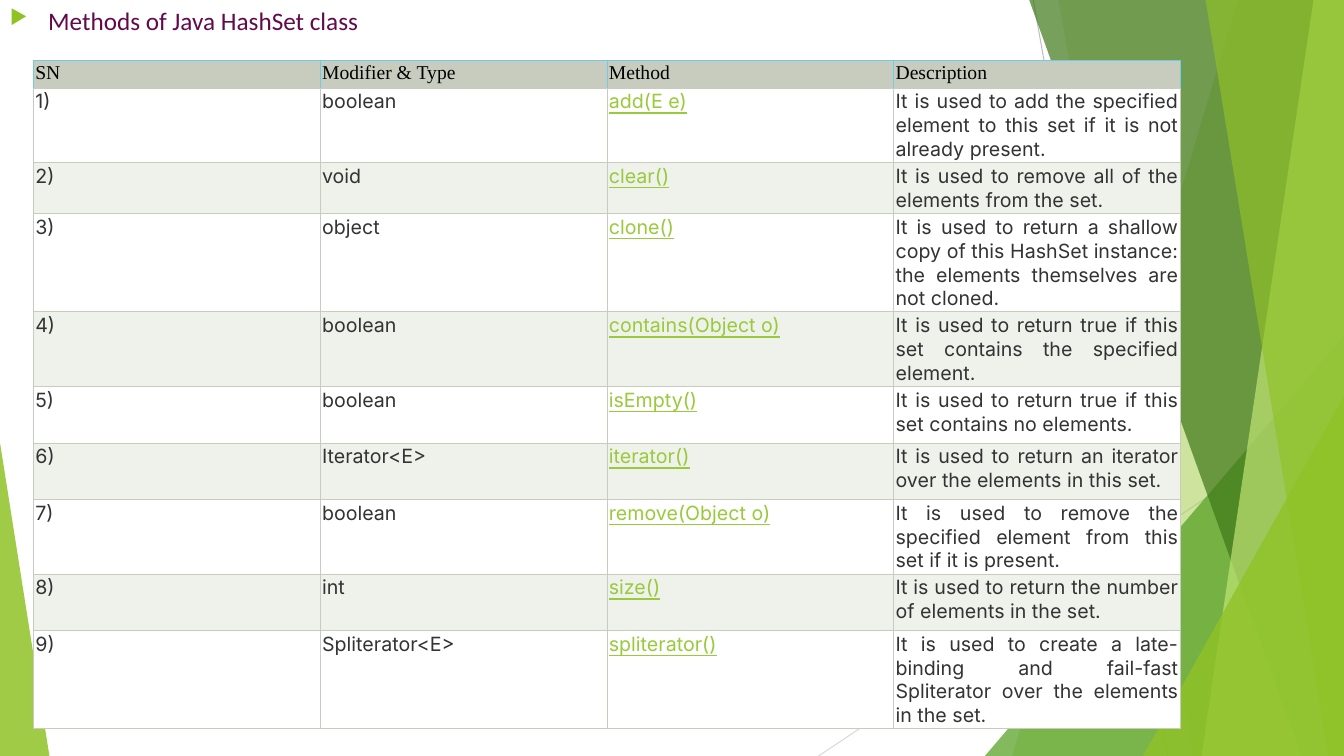
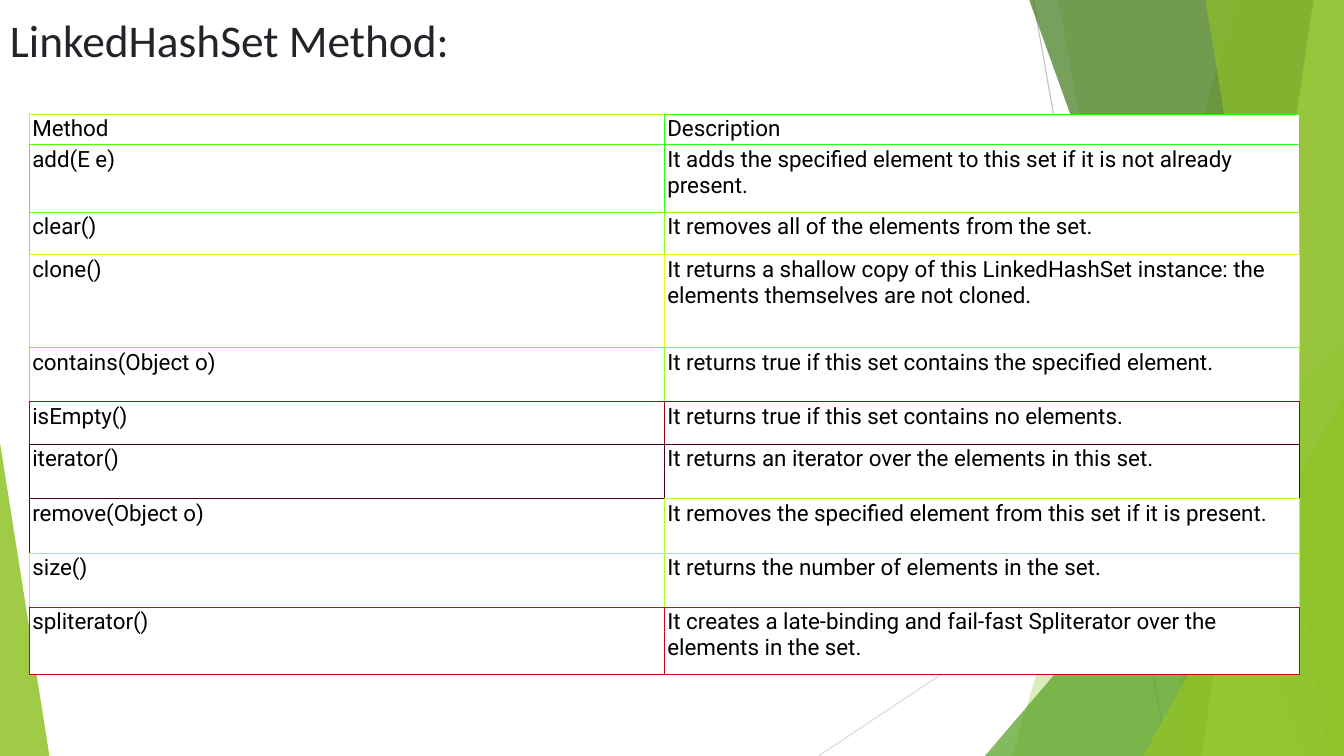
from dataclasses import dataclass
from typing import NamedTuple

from lxml import etree
from pptx import Presentation
from pptx.dml.color import RGBColor
from pptx.enum.shapes import MSO_CONNECTOR, MSO_SHAPE
from pptx.enum.text import PP_ALIGN
from pptx.oxml.ns import qn
from pptx.util import Emu, Inches, Pt

STRAIGHT = MSO_CONNECTOR.STRAIGHT
TRIANGLE = MSO_SHAPE.ISOSCELES_TRIANGLE
LEFT, JUSTIFY = PP_ALIGN.LEFT, PP_ALIGN.JUSTIFY

SLIDE_WIDTH, SLIDE_HEIGHT = Inches(13.33), Inches(7.5)
BLANK_LAYOUT = 6

GREEN, MID_GREEN, DARK_GREEN, PALE_GREEN = "90C226", "54A021", "3F7819", "C0E474"
WHITE, BLACK, BODY_GREY = "FFFFFF", "000000", "333333"
BAND, RULE, HEADER_RULE, LINK = "EFF1EB", "C7CCBE", "70CBE9", "99CA3C"


@dataclass(frozen=True)
class TextStyle:
    """Look of one run of text."""
    font: str
    size: float
    color: str
    underline: bool = False
    align: PP_ALIGN = LEFT


@dataclass(frozen=True)
class Ray:
    """Thin line; all places are percent of the slide."""
    start: tuple[float, float]
    end: tuple[float, float]
    color: str


@dataclass(frozen=True)
class Shard:
    """Full-height panel reaching the right edge, slanted on its left side."""
    top_left: float
    bottom_left: float
    color: str
    opacity: int


@dataclass(frozen=True)
class Wedge:
    """Triangle standing on the bottom edge of the slide."""
    left: float
    right: float
    top: float
    apex: float
    color: str
    opacity: int


class Borders(NamedTuple):
    """Cell border colours in the order the file format wants them."""
    left: str
    right: str
    top: str
    bottom: str


@dataclass(frozen=True)
class CellLook:
    """Text style, fill and borders of a table cell."""
    style: TextStyle
    fill: str
    borders: Borders


@dataclass(frozen=True)
class TableFrame:
    """Place, row heights (percent), cell insets (inches) and rule width (points)."""
    left: float
    top: float
    width: float
    rows: list[float]
    inset: float
    rule: float


class Method(NamedTuple):
    """One set method as told on both slides."""
    signature: str
    result: str
    usage: str
    linked_usage: str


BACKDROP = [
    Ray((76.88, 0), (86.88, 100), "BFBFBF"),
    Ray((100, 53.73), (60.9, 100), "D9D9D9"),
    Shard(92.1, 75.3, GREEN, 30),
    Shard(78.75, 88.75, GREEN, 20),
    Wedge(73.28, 100, 44.4, 1, MID_GREEN, 72),
    Shard(76.58, 96.83, DARK_GREEN, 70),
    Shard(97.73, 89.4, PALE_GREEN, 70),
    Shard(89.7, 98.85, GREEN, 65),
    Wedge(85.05, 100, 52.4, 1, GREEN, 80),
    Wedge(0, 3.68, 58.53, 0, GREEN, 85),
]

METHODS = [
    Method("add(E e)", "boolean",
           "It is used to add the specified element to this set if it is not already present.",
           "It adds the specified element to this set if it is not already present."),
    Method("clear()", "void",
           "It is used to remove all of the elements from the set.",
           "It removes all of the elements from the set."),
    Method("clone()", "object",
           "It is used to return a shallow copy of this HashSet instance: "
           "the elements themselves are not cloned.",
           "It returns a shallow copy of this LinkedHashSet instance: "
           "the elements themselves are not cloned."),
    Method("contains(Object o)", "boolean",
           "It is used to return true if this set contains the specified element.",
           "It returns true if this set contains the specified element."),
    Method("isEmpty()", "boolean",
           "It is used to return true if this set contains no elements.",
           "It returns true if this set contains no elements."),
    Method("iterator()", "Iterator<E>",
           "It is used to return an iterator over the elements in this set.",
           "It returns an iterator over the elements in this set."),
    Method("remove(Object o)", "boolean",
           "It is used to remove the specified element from this set if it is present.",
           "It removes the specified element from this set if it is present."),
    Method("size()", "int",
           "It is used to return the number of elements in the set.",
           "It returns the number of elements in the set."),
    Method("spliterator()", "Spliterator<E>",
           "It is used to create a late-binding and fail-fast Spliterator "
           "over the elements in the set.",
           "It creates a late-binding and fail-fast Spliterator "
           "over the elements in the set."),
]

HASH_FRAME = TableFrame(
    2.48, 8, 85.35, [3.6, 8.8, 6, 11.47, 8.8, 7.47, 7.47, 8.8, 7.47, 10.13], 0.02, 0.6)
LINKED_FRAME = TableFrame(
    2.18, 15.07, 94.5, [2.27, 8.93, 5.6, 12.27, 7.2, 5.6, 7.2, 7.2, 7.2, 8.93], 0.03, 0.5)
LINKED_RULES = [
    ("B0FC19", "30FD19"), ("50F719", "30FA19"), ("70FA19", "90FA19"),
    ("D0F519", "F0F619"), ("70FB19", "90FB19"), ("B0001A", "90041A"),
    ("30031A", "50021A"), ("50051A", "B0FE19"), ("B0FE19", "B0FF19"),
    ("D0011A", "D0041A"),
]

HASH_TITLE = TextStyle("Calibri", 18, "610B4B", align=JUSTIFY)
LINKED_TITLE = TextStyle("Calibri", 32.4, "212529")
HASH_HEADER = TextStyle("Times New Roman", 14, BLACK)
HASH_BODY = TextStyle("Inter", 14, BODY_GREY, align=JUSTIFY)
HASH_LINK = TextStyle("Inter", 14, LINK, underline=True, align=JUSTIFY)
LINKED_BODY = TextStyle("Roboto", 16, BLACK)


def across(percent: float) -> Emu:
    """Turn a share of the slide's width into a length."""
    return Emu(round(SLIDE_WIDTH * percent / 100))


def down(percent: float) -> Emu:
    """Turn a share of the slide's height into a length."""
    return Emu(round(SLIDE_HEIGHT * percent / 100))


def rgb(color: str) -> RGBColor:
    """Read a hex colour."""
    return RGBColor.from_string(color)


def paint(shape, color: str, opacity: int) -> None:
    """Give a shape a see-through fill with no line or shadow."""
    shape.shadow.inherit = False
    shape.line.fill.background()
    shape.fill.solid()
    shape.fill.fore_color.rgb = rgb(color)
    color_element = shape.fill._xPr.find(".//" + qn("a:srgbClr"))
    etree.SubElement(color_element, qn("a:alpha"), val=str(opacity * 1000))


def draw_ray(slide, ray: Ray) -> None:
    """Draw a thin line."""
    (x1, y1), (x2, y2) = ray.start, ray.end
    connector = slide.shapes.add_connector(STRAIGHT, across(x1), down(y1), across(x2), down(y2))
    connector.line.color.rgb = rgb(ray.color)
    connector.line.width = Pt(0.75)
    etree.SubElement(connector._element.spPr, qn("a:effectLst"))


def draw_shard(slide, shard: Shard) -> None:
    """Draw a slanted panel."""
    builder = slide.shapes.build_freeform(across(shard.top_left), 0)
    builder.add_line_segments([
        (SLIDE_WIDTH, 0), (SLIDE_WIDTH, SLIDE_HEIGHT),
        (across(shard.bottom_left), SLIDE_HEIGHT)], close=True)
    paint(builder.convert_to_shape(), shard.color, shard.opacity)


def draw_wedge(slide, wedge: Wedge) -> None:
    """Draw a triangle down to the bottom edge."""
    shape = slide.shapes.add_shape(
        TRIANGLE, across(wedge.left), down(wedge.top),
        across(wedge.right - wedge.left), down(100 - wedge.top))
    shape.adjustments[0] = wedge.apex
    paint(shape, wedge.color, wedge.opacity)


DRAWERS = {Ray: draw_ray, Shard: draw_shard, Wedge: draw_wedge}


def write(paragraph, text: str, style: TextStyle) -> None:
    """Fill a paragraph and format it."""
    paragraph.text = text
    paragraph.alignment = style.align
    for run in paragraph.runs:
        run.font.name = style.font
        run.font.size = Pt(style.size)
        run.font.color.rgb = rgb(style.color)
        run.font.underline = style.underline


def add_title(slide, text: str, style: TextStyle, top: float, height: float):
    """Add a full-width heading and return its paragraph."""
    box = slide.shapes.add_textbox(0, down(top), SLIDE_WIDTH, down(height))
    box.text_frame.word_wrap = True
    paragraph = box.text_frame.paragraphs[0]
    write(paragraph, text, style)
    return paragraph


def add_arrow_bullet(paragraph) -> None:
    """Put a green arrow bullet before a paragraph."""
    paragraph.space_before = Pt(10)
    properties = paragraph._p.get_or_add_pPr()
    properties.set("marL", str(Inches(0.38)))
    properties.set("indent", str(-Inches(0.38)))
    bullet_color = etree.SubElement(properties, qn("a:buClr"))
    etree.SubElement(bullet_color, qn("a:srgbClr"), val=GREEN)
    etree.SubElement(properties, qn("a:buSzPct"), val="80000")
    etree.SubElement(properties, qn("a:buChar"), char="\u25b6")


def set_borders(cell, borders: Borders, width: float) -> None:
    """Draw the four rules of a cell."""
    properties = cell._tc.get_or_add_tcPr()
    for position, (side, color) in enumerate(zip("LRTB", borders)):
        line = etree.Element(qn(f"a:ln{side}"), w=str(Pt(width)))
        fill = etree.SubElement(line, qn("a:solidFill"))
        etree.SubElement(fill, qn("a:srgbClr"), val=color)
        properties.insert(position, line)


def add_grid(slide, frame: TableFrame, rows: list[tuple[str, ...]], look_of) -> None:
    """Add a table of equal columns; look_of(row, column) gives each cell's look."""
    columns = len(rows[0])
    table = slide.shapes.add_table(
        len(rows), columns, across(frame.left), down(frame.top),
        across(frame.width), down(sum(frame.rows))).table
    table.first_row = table.horz_banding = False
    for column in table.columns:
        column.width = across(frame.width / columns)
    for row_index, values in enumerate(rows):
        table.rows[row_index].height = down(frame.rows[row_index])
        for column_index, text in enumerate(values):
            cell, look = table.cell(row_index, column_index), look_of(row_index, column_index)
            cell.margin_left = cell.margin_right = Inches(frame.inset)
            cell.margin_top = cell.margin_bottom = Inches(0.02)
            write(cell.text_frame.paragraphs[0], text, look.style)
            cell.fill.solid()
            cell.fill.fore_color.rgb = rgb(look.fill)
            set_borders(cell, look.borders, frame.rule)


def hash_look(row: int, column: int) -> CellLook:
    """Header row, then white and tinted bands with linked method names."""
    if row == 0:
        return CellLook(HASH_HEADER, RULE, Borders(HEADER_RULE, HEADER_RULE, HEADER_RULE, RULE))
    style = HASH_LINK if column == 2 else HASH_BODY
    return CellLook(style, WHITE if row % 2 else BAND, Borders(RULE, RULE, RULE, RULE))


def linked_look(row: int, column: int) -> CellLook:
    """White cells; right and bottom rules take the next cell's colour."""
    own, right = LINKED_RULES[row][column], LINKED_RULES[row][1]
    below = LINKED_RULES[min(row + 1, len(LINKED_RULES) - 1)][column]
    return CellLook(LINKED_BODY, WHITE, Borders(own, right, own, below))


def add_backdrop_slide(presentation):
    """Add a blank slide with the shared green backdrop."""
    slide = presentation.slides.add_slide(presentation.slide_layouts[BLANK_LAYOUT])
    for part in BACKDROP:
        DRAWERS[type(part)](slide, part)
    return slide


def main() -> None:
    """Build both slides and save them."""
    presentation = Presentation()
    presentation.slide_width, presentation.slide_height = SLIDE_WIDTH, SLIDE_HEIGHT

    slide = add_backdrop_slide(presentation)
    add_arrow_bullet(add_title(slide, "Methods of Java HashSet class", HASH_TITLE, 0, 100))
    rows = [("SN", "Modifier & Type", "Method", "Description")]
    rows += [(f"{number})", method.result, method.signature, method.usage)
             for number, method in enumerate(METHODS, 1)]
    add_grid(slide, HASH_FRAME, rows, hash_look)

    slide = add_backdrop_slide(presentation)
    add_title(slide, "LinkedHashSet Method:", LINKED_TITLE, 1, 8.13)
    rows = [("Method", "Description")]
    rows += [(method.signature, method.linked_usage) for method in METHODS]
    add_grid(slide, LINKED_FRAME, rows, linked_look)

    presentation.save("out.pptx")


main()
